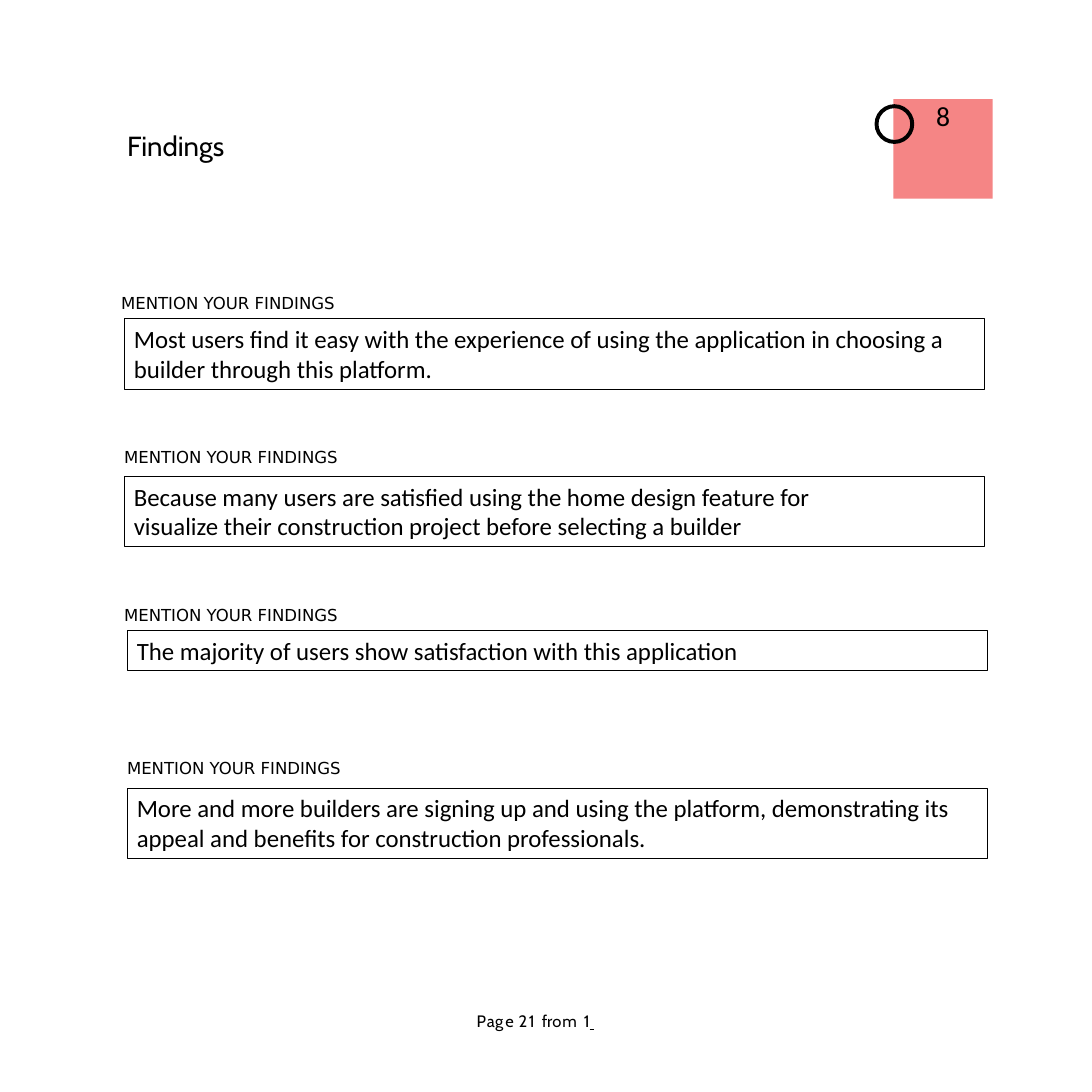
"""Build the findings slide with four framed statements, a badge and a page line."""
from lxml import etree
from pptx import Presentation, util as u
from pptx.dml.color import RGBColor
from pptx.enum import shapes, text
from pptx.oxml.ns import qn

BLACK = RGBColor(0, 0, 0)
CORAL = RGBColor(0xF5, 0x85, 0x85)

SLIDE_SIZE = u.Inches(11)
GRID_COUNT = 11
CELL = SLIDE_SIZE // GRID_COUNT

TITLE_FONT = {"name": "Cabin", "size": u.Pt(20)}
LABEL_FONT = {"name": "DejaVu Sans", "size": u.Pt(12)}
BODY_FONT = {"name": "Calibri", "size": u.Pt(18)}
BADGE_FONT = {"name": "Calibri", "size": u.Pt(20)}
FOOTER_FONT = {"name": "Cabin", "size": u.Pt(12)}
BLANK_FONT = {"name": "Times New Roman", "size": u.Pt(12), "underline": True}

LABEL = "MENTION YOUR FINDINGS"
FINDINGS = [
    (1.22, 2.93, 1.25, 3.21, 0.71, [
        "Most users find it easy with the experience of using the application "
        "in choosing a builder through this platform."]),
    (1.25, 4.48, 1.25, 4.8, 0.71, [
        "Because many users are satisfied using the home design feature for",
        "visualize their construction project before selecting a builder"]),
    (1.25, 6.07, 1.28, 6.35, 0.4, [
        "The majority of users show satisfaction with this application"]),
    (1.28, 7.62, 1.28, 7.94, 0.71, [
        "More and more builders are signing up and using the platform, "
        "demonstrating its appeal and benefits for construction professionals."]),
]
FOOTER_RUNS = [("P", 70), ("a", 20), ("g", 140), ("e ", 40), ("21 ", 120),
               ("fr", -10), ("o", 70), ("m ", 110), ("1", -90)]
BADGE_OUTLINE = [(9.9, 1.63), (9.03, 1.63), (9.01, 1.62), (9.01, 1.27),
                 (9.9, 1.25), (9.91, 1.25), (9.92, 1.27), (9.92, 1.61),
                 (9.91, 1.62)]


def cells(*counts):
    """Turn counts of grid columns or rows into lengths."""
    return [u.Emu(round(count * CELL)) for count in counts]


def set_values(target, values):
    """Set each named attribute on the target."""
    for name, value in values.items():
        setattr(target, name, value)


def add_run(paragraph, wording, font, spacing=0):
    """Add a black run with its font and letter spacing."""
    run = paragraph.add_run()
    run.text = wording
    set_values(run.font, font)
    run.font.color.rgb = BLACK
    if spacing:
        run.font._element.set("spc", str(spacing))


def set_frame(frame, top_inset=0, side_inset=0):
    """Give a text frame its insets, wrapping and top anchor."""
    set_values(frame, {
        "word_wrap": True, "vertical_anchor": text.MSO_ANCHOR.TOP,
        "margin_left": side_inset, "margin_right": side_inset,
        "margin_top": top_inset, "margin_bottom": side_inset // 2})


def add_text(slide, place, paragraphs, font, **insets):
    """Add a text box that grows with its paragraphs."""
    box = slide.shapes.add_textbox(*cells(*place))
    frame = box.text_frame
    set_frame(frame, **insets)
    frame.auto_size = text.MSO_AUTO_SIZE.SHAPE_TO_FIT_TEXT
    for index, wording in enumerate(paragraphs):
        paragraph = frame.add_paragraph() if index else frame.paragraphs[0]
        add_run(paragraph, wording, font)
    return box


def add_heading(slide, place, wording, font):
    """Add a one-line heading with a slight inset."""
    add_text(slide, place, [wording], font, top_inset=u.Inches(0.02))


def add_finding(slide, label_left, label_top, left, top, height, paragraphs):
    """Add a label and the framed statement under it."""
    add_heading(slide, (label_left, label_top, 2.29, 0.22), LABEL, LABEL_FONT)
    box = add_text(slide, (left, top, 8.67, height), paragraphs, BODY_FONT,
                   top_inset=u.Inches(0.05), side_inset=u.Inches(0.1))
    box.line.color.rgb = BLACK
    box.line.width = u.Pt(0.75)


def paint(shape, color):
    """Fill a shape plainly, without line or shadow."""
    shape.shadow.inherit = False
    shape.fill.solid()
    shape.fill.fore_color.rgb = color
    shape.line.fill.background()


def add_badge(slide, number):
    """Add the numbered badge with a ring on its corner."""
    start, *corners = BADGE_OUTLINE
    builder = slide.shapes.build_freeform(*start, scale=CELL)
    builder.add_line_segments(corners, close=True)
    badge = builder.convert_to_shape()
    paint(badge, CORAL)
    set_frame(badge.text_frame)
    paragraph = badge.text_frame.paragraphs[0]
    paragraph.alignment = text.PP_ALIGN.CENTER
    add_run(paragraph, number, BADGE_FONT)
    ring = slide.shapes.add_shape(shapes.MSO_SHAPE.DONUT,
                                  *cells(8.81, 1.05, 0.4, 0.4))
    ring.adjustments[0] = 0.1
    paint(ring, BLACK)


def add_footer(slide):
    """Add the page line, ending in an underlined blank."""
    box = add_text(slide, (4.8, 10.19, 1.41, 0.2), [], FOOTER_FONT)
    paragraph = box.text_frame.paragraphs[0]
    paragraph.line_spacing = u.Pt(14.1)
    tabs = etree.SubElement(paragraph._p.get_or_add_pPr(), qn("a:tabLst"))
    etree.SubElement(tabs, qn("a:tab"), pos=str(u.Inches(1.35)), algn="l")
    for wording, spacing in FOOTER_RUNS:
        add_run(paragraph, wording, FOOTER_FONT, spacing)
    add_run(paragraph, " \t", BLANK_FONT)


def main():
    """Build and save the slide."""
    presentation = Presentation()
    set_values(presentation, {"slide_width": SLIDE_SIZE,
                              "slide_height": SLIDE_SIZE})
    slide = presentation.slides.add_slide(presentation.slide_layouts[6])
    add_heading(slide, (1.28, 1.28, 3.93, 0.35), "Findings", TITLE_FONT)
    add_badge(slide, "8")
    for finding in FINDINGS:
        add_finding(slide, *finding)
    add_footer(slide)
    presentation.save("out.pptx")


if __name__ == "__main__":
    main()
